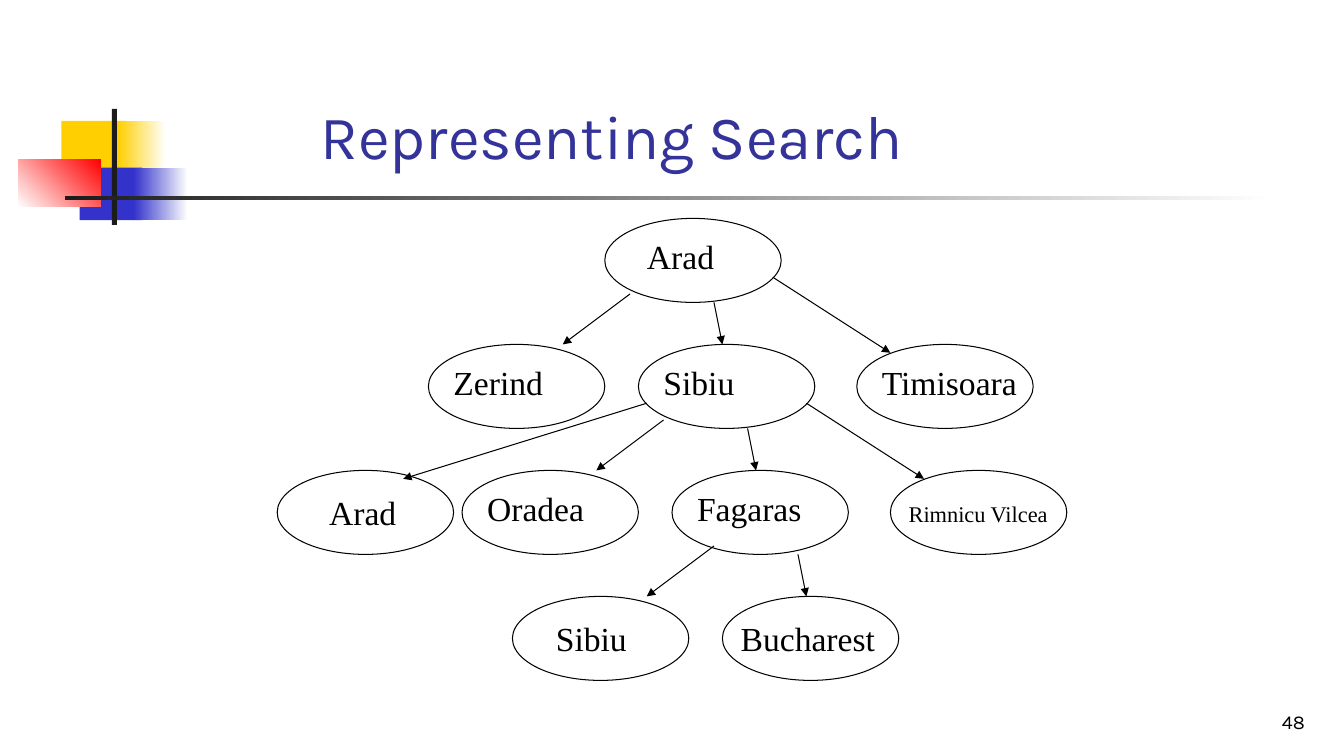
from dataclasses import dataclass
from typing import NamedTuple

from lxml import etree
from pptx import Presentation
from pptx import util as u
from pptx.dml import color
from pptx.enum import shapes, text
from pptx.oxml import ns

Pt = u.Pt


@dataclass(frozen=True)
class Theme:
    ink: str = "000000"
    title: str = "333399"
    yellow: str = "FFCF01"
    blue: str = "3333CC"
    red: str = "FF0000"
    bar: str = "1C1C1C"
    paper: str = "FFFFFF"
    sans: str = "Karla"
    serif: str = "Times New Roman"
    title_size: float = 44
    node_size: float = 24
    small_size: float = 16
    number_size: float = 14
    line: float = 0.75


class Node(NamedTuple):
    label: str
    left: float
    level: int
    dx: float
    dy: float
    width: float
    size: float


class Edge(NamedTuple):
    parent: str
    child: str
    leave: tuple
    arrive: tuple


T = Theme()
NODE_W, NODE_H = 126, 60
TOP, LEVEL_STEP = 156, 90

NODES = {
    "root": Node("Arad", 432, 0, 23, 9, 63, T.node_size),
    "zerind": Node("Zerind", 306, 1, 10.8, 9, 79, T.node_size),
    "sibiu": Node("Sibiu", 456, 1, 10.8, 9, 66, T.node_size),
    "timisoara": Node("Timisoara", 612, 1, 10.8, 9, 112, T.node_size),
    "arad": Node("Arad", 198, 2, 30, 12, 63, T.node_size),
    "oradea": Node("Oradea", 330, 2, 10.8, 9, 84, T.node_size),
    "fagaras": Node("Fagaras", 480, 2, 10.8, 9, 90, T.node_size),
    "rimnicu": Node("Rimnicu Vilcea", 636, 2, 6, 18, 116, T.small_size),
    "sibiu_again": Node("Sibiu", 366, 3, 24, 12, 66, T.node_size),
    "bucharest": Node("Bucharest", 516, 3, 6, 12, 111, T.node_size),
}

TO_LEFT = (18, 54), (96, 0)
TO_MIDDLE = (78, 60), (60, 0)
TO_RIGHT = (120, 42), (24, 6)

EDGES = [
    Edge("root", "zerind", *TO_LEFT),
    Edge("root", "sibiu", *TO_MIDDLE),
    Edge("root", "timisoara", *TO_RIGHT),
    Edge("sibiu", "arad", (6, 42), (90, 6)),
    Edge("sibiu", "oradea", *TO_LEFT),
    Edge("sibiu", "fagaras", *TO_MIDDLE),
    Edge("sibiu", "rimnicu", *TO_RIGHT),
    Edge("fagaras", "sibiu_again", (30, 54), (96, 0)),
    Edge("fagaras", "bucharest", (90, 60), (60, 0)),
]


def rgb(value):
    return color.RGBColor.from_string(value)


def add_block(s, box, start, end=None, angle=0):
    sp = s.shapes.add_shape(shapes.MSO_SHAPE.RECTANGLE, *map(Pt, box))
    sp.shadow.inherit = False
    sp.line.fill.background()
    if end is None:
        sp.fill.solid()
        sp.fill.fore_color.rgb = rgb(start)
        return
    sp.fill.gradient()
    sp.fill.gradient_angle = angle
    for stop, value in zip(sp.fill.gradient_stops, (start, end)):
        stop.color.rgb = rgb(value)


def add_text(s, box, words, font, size, ink, align=text.PP_ALIGN.LEFT,
             anchor=text.MSO_ANCHOR.BOTTOM, wrap=True):
    tf = s.shapes.add_textbox(*map(Pt, box)).text_frame
    tf.word_wrap = wrap
    tf.vertical_anchor = anchor
    if not wrap:
        tf.auto_size = text.MSO_AUTO_SIZE.SHAPE_TO_FIT_TEXT
    p = tf.paragraphs[0]
    p.alignment = align
    r = p.add_run()
    r.text = words
    r.font.name = font
    r.font.size = Pt(size)
    r.font.color.rgb = rgb(ink)


def node_point(node, offset):
    return node.left + offset[0], TOP + node.level * LEVEL_STEP + offset[1]


def add_node(s, node):
    corner = node_point(node, (0, 0))
    sp = s.shapes.add_shape(shapes.MSO_SHAPE.OVAL, *map(Pt, (*corner, NODE_W, NODE_H)))
    sp.shadow.inherit = False
    sp.fill.background()
    sp.line.color.rgb = rgb(T.ink)
    sp.line.width = Pt(T.line)
    place = node_point(node, (node.dx, node.dy))
    add_text(s, (*place, node.width, node.size * 1.2 + 7.2), node.label, T.serif,
             node.size, T.ink, anchor=text.MSO_ANCHOR.TOP, wrap=False)


def add_arrow(s, edge):
    start = node_point(NODES[edge.parent], edge.leave)
    end = node_point(NODES[edge.child], edge.arrive)
    sp = s.shapes.add_connector(shapes.MSO_CONNECTOR.STRAIGHT, *map(Pt, start + end))
    sp.line.color.rgb = rgb(T.ink)
    sp.line.width = Pt(T.line)
    etree.SubElement(sp.line._get_or_add_ln(), ns.qn("a:tailEnd"), type="triangle")
    etree.SubElement(sp._element.spPr, ns.qn("a:effectLst"))


def add_ornament(s):
    add_block(s, (43.9, 86.4, 46.1, 37.4), T.yellow)
    add_block(s, (84.2, 86.4, 34.2, 37.4), T.yellow, T.paper)
    add_block(s, (56.9, 119.8, 44.6, 37.4), T.blue)
    add_block(s, (95.6, 119.8, 38.6, 37.4), T.blue, T.paper)
    add_block(s, (13, 113.8, 59, 33.8), T.paper, T.red, angle=45)
    add_block(s, (79.9, 77.8, 3.6, 82.8), T.bar)
    add_block(s, (46.5, 140.2, 864, 2.5), T.bar, T.paper)


def main():
    prs = Presentation()
    prs.slide_width, prs.slide_height = Pt(960), Pt(540)
    s = prs.slides.add_slide(prs.slide_layouts[6])
    add_ornament(s)
    add_text(s, (739.2, 491.3, 200, 36), "48", T.sans, T.number_size, T.ink,
             align=text.PP_ALIGN.RIGHT)
    add_text(s, (222, 36, 612, 90), "Representing Search", T.sans, T.title_size, T.title)
    for node in NODES.values():
        add_node(s, node)
    for edge in EDGES:
        add_arrow(s, edge)
    prs.save("out.pptx")


if __name__ == "__main__":
    main()
